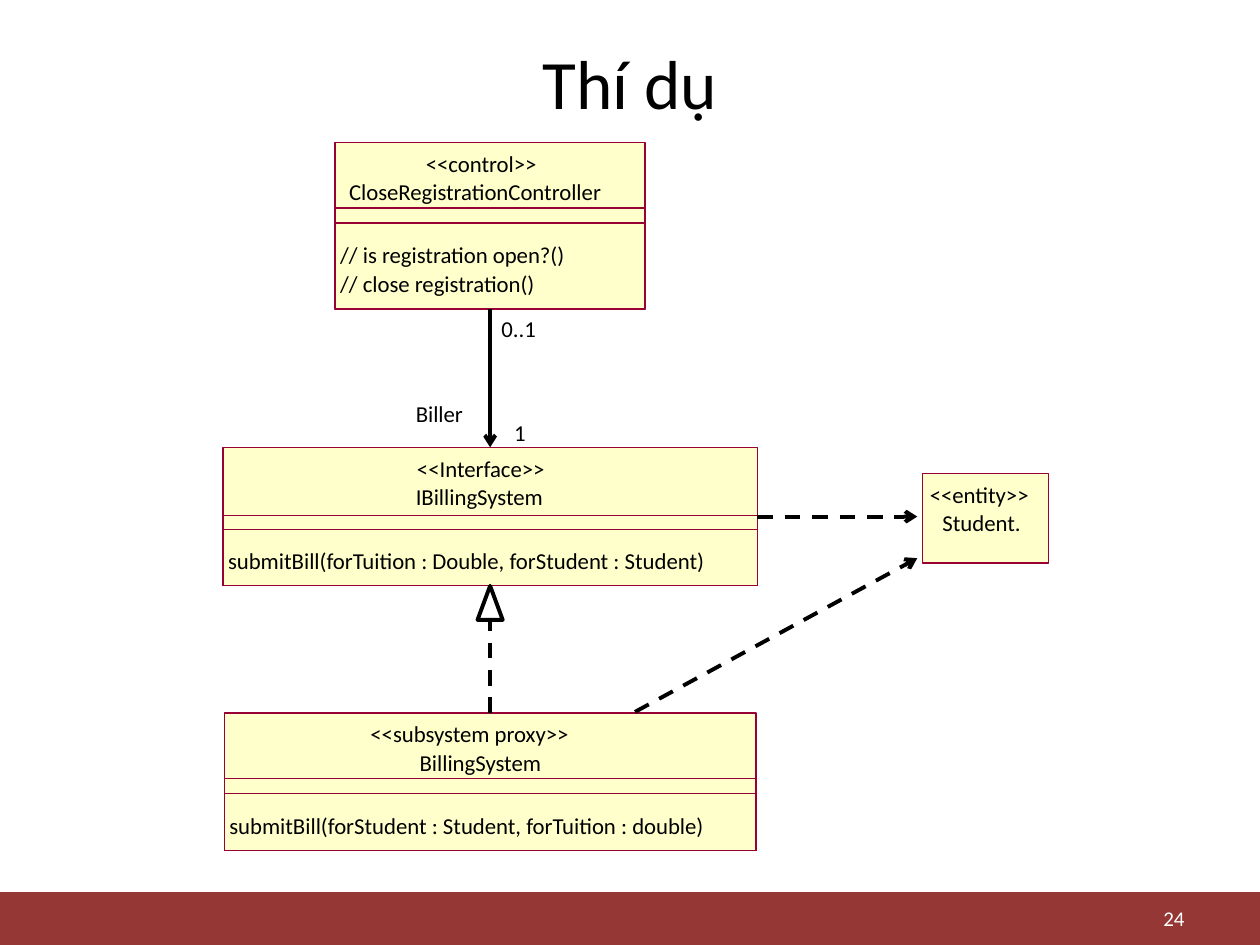
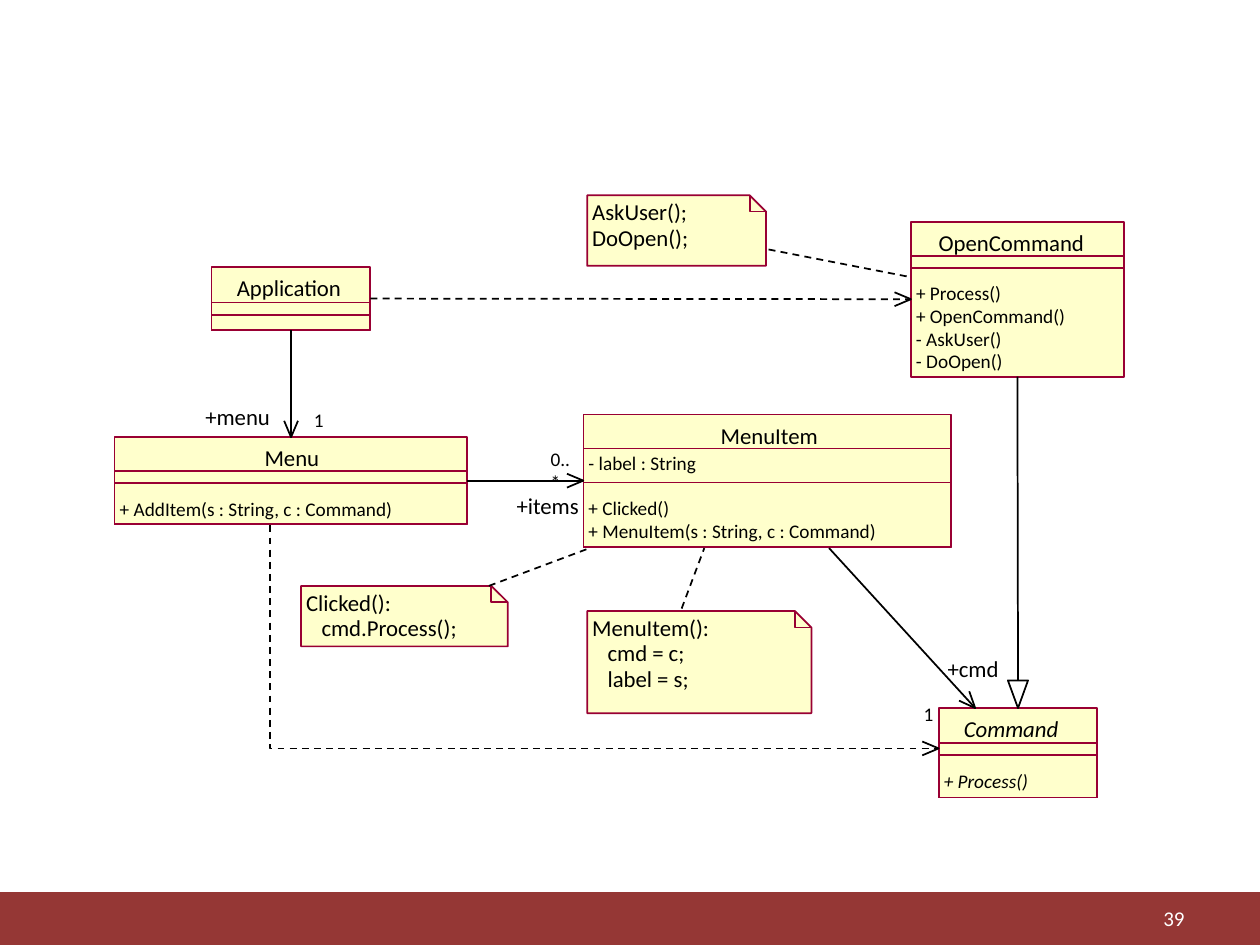
from dataclasses import dataclass
from math import atan2, cos, sin
from typing import NamedTuple, Union

from lxml.etree import SubElement
from pptx import Presentation
from pptx.dml.color import RGBColor as Rgb
from pptx.enum.dml import MSO_LINE as Dash
from pptx.enum.shapes import MSO_CONNECTOR as Conn, MSO_SHAPE as Kind
from pptx.enum.text import MSO_ANCHOR as Anchor, MSO_AUTO_SIZE as Fit, PP_ALIGN as Align
from pptx.oxml.ns import qn
from pptx.util import Emu, Inches, Pt

WIDE, HIGH = Inches(10), Inches(7.5)
COLS, ROWS = 100, 75
CELL = WIDE // COLS  # square cells: HIGH // ROWS is the same
FONT = "Calibri"
INK = {"text": "000000", "page": "FFFFFF", "band": "953735",
       "fill": "FFFFCC", "edge": "990033"}
TOP, LEFT, BASE, RIGHT = range(4)
FOLD = 1.3

Point = tuple[float, float]


class Side(NamedTuple):
    box: str
    site: int


class Label(NamedTuple):
    x: float
    y: float
    w: float
    text: str
    size: float = 13
    slant: bool = False


class Head(NamedTuple):
    x: float
    w: float
    text: str


class Row(NamedTuple):
    w: float
    text: str


@dataclass
class Box:
    """A class box: name lines, inner cuts and member rows."""
    key: str
    x: float
    y: float
    w: float
    h: float
    heads: list[Head]
    cuts: tuple[float, ...] = ()
    rows: tuple[Row, ...] = ()
    line: float = 1
    slant: bool = False


@dataclass
class Note:
    x: float
    y: float
    w: float
    h: float
    rows: list[Row]


@dataclass
class Link:
    start: Union[Side, Point]
    end: Union[Side, Point]
    tip: str = ""
    dash: bool = False


@dataclass
class Look:
    """Sizes that hold for a whole diagram."""
    size: float
    pad: float
    step: float
    line: float
    half: float
    long: float


def at(n: float) -> Emu:
    return Emu(round(n * CELL))


def rgb(name: str) -> Rgb:
    return Rgb.from_string(INK[name])


def paint(shape, fill: str = "", edge: str = "", line: float = 1) -> None:
    shape.shadow.inherit = False
    if fill:
        shape.fill.solid()
        shape.fill.fore_color.rgb = rgb(fill)
    else:
        shape.fill.background()
    if edge:
        shape.line.color.rgb = rgb(edge)
        shape.line.width = Pt(line)
    else:
        shape.line.fill.background()


def rect(slide, x, y, w, h, fill="", edge="", line=1.0):
    shape = slide.shapes.add_shape(Kind.RECTANGLE, at(x), at(y), at(w), at(h))
    paint(shape, fill, edge, line)
    return shape


def trace(slide, pts: list[Point], close=False, fill="", edge="text", line=1.0):
    """Draw an outline through grid points."""
    first, *rest = [(at(x), at(y)) for x, y in pts]
    pen = slide.shapes.build_freeform(*first)
    pen.add_line_segments(rest, close=close)
    shape = pen.convert_to_shape()
    paint(shape, fill, edge, line)
    return shape


def write(slide, x, y, w, h, text, size, ink="text", align=Align.LEFT, slant=False):
    frame = slide.shapes.add_textbox(at(x), at(y), at(w), at(h)).text_frame
    para = frame.paragraphs[0]
    para.alignment = align
    run = para.add_run()
    run.text = text
    font = run.font
    font.name, font.size, font.italic = FONT, Pt(size), slant
    font.color.rgb = rgb(ink)
    return frame


def put(slide, tag: Label) -> None:
    """Write one line with no margins that does not wrap."""
    high = 2.2 if tag.size > 11 else 1.8
    frame = write(slide, tag.x, tag.y, tag.w, high, tag.text, tag.size, slant=tag.slant)
    frame.margin_left = frame.margin_right = frame.margin_top = frame.margin_bottom = 0
    frame.word_wrap = False
    frame.auto_size = Fit.SHAPE_TO_FIT_TEXT


def draw_box(slide, box: Box, look: Look):
    body = rect(slide, box.x, box.y, box.w, box.h, "fill", "edge", box.line)
    for cut in box.cuts:
        rect(slide, box.x, box.y + cut, box.w, box.h - cut, "", "edge", box.line)
    for i, head in enumerate(box.heads):
        put(slide, Label(head.x, box.y + 0.55 + 2.25 * i, head.w, head.text, 13, box.slant))
    for i, row in enumerate(box.rows):
        y = box.y + box.cuts[-1] + look.pad + look.step * i
        put(slide, Label(box.x + 0.4, y, row.w, row.text, look.size, box.slant))
    return body


def draw_note(slide, note: Note) -> None:
    x, y, r, b = note.x, note.y, note.x + note.w, note.y + note.h
    ear = [(r - FOLD, y), (r, y + FOLD)]
    trace(slide, [(x, y), *ear, (r, b), (x, b)], True, "fill", "edge")
    trace(slide, [ear[0], (r - FOLD, y + FOLD), ear[1]], edge="edge")
    for i, row in enumerate(note.rows):
        put(slide, Label(x + 0.4, y + 0.22 + 2 * i, row.w, row.text))


def draw_tip(slide, kind: str, end: Point, turn: float, look: Look) -> None:
    """Draw an open barb or a hollow triangle, its point at end."""
    half, long = (look.half, look.long) if kind == "tri" else (0.55, 1.3)
    (x, y), c, s = end, cos(turn), sin(turn)
    wings = [(x - long * c - k * s, y - long * s + k * c) for k in (half, -half)]
    if kind == "tri":
        trace(slide, [end, *wings], True, "page", line=look.line)
    else:
        trace(slide, [wings[0], end, wings[1]], line=look.line)


def draw_link(slide, link: Link, look: Look, bodies: dict) -> None:
    ends = [(0, 0) if isinstance(p, Side) else p for p in (link.start, link.end)]
    line = slide.shapes.add_connector(Conn.STRAIGHT, *[at(n) for p in ends for n in p])
    for port, join in ((link.start, line.begin_connect), (link.end, line.end_connect)):
        if isinstance(port, Side):
            join(bodies[port.box], port.site)
    line.line.color.rgb = rgb("text")
    line.line.width = Pt(look.line)
    if link.dash:
        line.line.dash_style = Dash.DASH
    props = line._element.spPr
    if link.tip == "arrow":
        SubElement(props.find(qn("a:ln")), qn("a:tailEnd"), type="arrow")
    elif link.tip:
        turn = atan2(line.end_y - line.begin_y, line.end_x - line.begin_x)
        draw_tip(slide, link.tip, (line.end_x / CELL, line.end_y / CELL), turn, look)
    SubElement(props, qn("a:effectLst"))


def new_slide(deck, page: int, title: str = ""):
    slide = deck.slides.add_slide(deck.slide_layouts[6])
    rect(slide, 0, 70.8, COLS, ROWS - 70.8, "band")
    if title:
        frame = write(slide, 5, 3, 90, 7, title, 39.6, align=Align.CENTER)
        frame.vertical_anchor, frame.word_wrap = Anchor.MIDDLE, True
    frame = write(slide, 71.7, 71.5, 23.3, 2.7, str(page), 12, "page", Align.RIGHT)
    frame.vertical_anchor, frame.word_wrap = Anchor.MIDDLE, True
    return slide


def draw(slide, look: Look, boxes, notes, links, labels) -> None:
    bodies = {box.key: draw_box(slide, box, look) for box in boxes}
    for note in notes:
        draw_note(slide, note)
    for link in links:
        draw_link(slide, link, look, bodies)
    for tag in labels:
        put(slide, tag)


def billing(deck) -> None:
    boxes = [
        Box("proxy", 17.8, 56.6, 42.2, 10.9,
            [Head(29.4, 17.8, "<<subsystem proxy>>"), Head(33.3, 10.8, "BillingSystem")],
            (5.2, 6.4),
            (Row(40.5, "submitBill(forStudent : Student, forTuition : double)"),), 0),
        Box("face", 17.7, 35.5, 42.4, 11,
            [Head(33.1, 11.3, "<<Interface>>"), Head(33, 11.3, "IBillingSystem")],
            (5.4, 6.5),
            (Row(40.8, "submitBill(forTuition : Double, forStudent : Student)"),), 0),
        Box("control", 26.6, 11.3, 24.6, 13.2,
            [Head(33.8, 9.7, "<<control>>"), Head(27.7, 22.1, "CloseRegistrationController")],
            (5.2, 6.4),
            (Row(19, "// is registration open?()"), Row(16.4, "// close registration()"))),
        Box("entity", 73.2, 37.6, 10, 7.1,
            [Head(73.8, 8.6, "<<entity>>"), Head(74.8, 6.7, "Student.")], line=0),
    ]
    links = [
        Link((50.4, 56.5), (72.8, 44.3), "arrow", True),
        Link(Side("face", RIGHT), (72.8, 41), "arrow", True),
        Link(Side("control", BASE), Side("face", TOP), "arrow"),
        Link(Side("proxy", TOP), Side("face", BASE), "tri", True),
    ]
    labels = [Label(39.8, 25, 3, "0..1"), Label(33, 31.7, 4.4, "Biller"),
              Label(40.8, 33.2, 1, "1")]
    draw(new_slide(deck, 24, "Thí dụ"), Look(13, 1.4, 2.3, 2.25, 1, 2.7),
         boxes, [], links, labels)


def command(deck) -> None:
    cuts = (2.7, 3.65)
    boxes = [
        Box("app", 16.8, 21.2, 12.6, 5, [Head(18.8, 8.8, "Application")], (2.8, 3.8)),
        Box("menu", 9.1, 34.7, 28, 6.9, [Head(21, 4.5, "Menu")], cuts,
            (Row(23.9, "+ AddItem(s : String, c : Command)"),)),
        Box("item", 46.3, 32.9, 29.2, 10.5, [Head(57.2, 8.1, "MenuItem")], (2.7, 5.4),
            (Row(7.3, "+ Clicked()"), Row(25, "+ MenuItem(s : String, c : Command)"))),
        Box("cmd", 74.5, 56.2, 12.6, 7.1, [Head(76.5, 8.4, "Command")], (2.8, 3.75),
            (Row(7.8, "+ Process()"),), slant=True),
        Box("open", 72.3, 17.6, 16.9, 12.3, [Head(74.5, 12.8, "OpenCommand")], cuts,
            (Row(7.8, "+ Process()"), Row(13.1, "+ OpenCommand()"),
             Row(7.7, "- AskUser()"), Row(7.6, "- DoOpen()"))),
    ]
    notes = [
        Note(23.9, 46.5, 16.4, 4.8, [Row(8.1, "Clicked():"), Row(13.7, "   cmd.Process();")]),
        Note(46.6, 15.5, 14.2, 5.6, [Row(8.5, "AskUser();"), Row(8.5, "DoOpen();")]),
        Note(46.6, 48.5, 17.8, 8.1, [Row(9.8, "MenuItem():"), Row(8.4, "   cmd = c;"),
                                     Row(8.8, "   label = s;")]),
    ]
    links = [
        Link(Side("app", BASE), Side("menu", TOP), "barb"),
        Link(Side("menu", RIGHT), Side("item", LEFT), "barb"),
        Link(Side("app", RIGHT), Side("open", LEFT), "barb", True),
        Link(Side("open", BASE), Side("cmd", TOP), "tri"),
        Link((65.8, 43.5), (77.4, 56.2), "barb"),
        Link((38.8, 46.5), (46.8, 43.5), dash=True),
        Link((61, 19.8), (72.3, 22), dash=True),
        Link((54.1, 48.3), (55.9, 43.5), dash=True),
    ]
    labels = [
        Label(46.7, 35.8, 9.4, "- label : String", 11),
        Label(16.3, 32, 5.6, "+menu"), Label(24.9, 32.4, 0.9, "1", 11),
        Label(41, 39, 5.4, "+items"), Label(43.7, 35.5, 2.3, "0..*", 11),
        Label(75.2, 52, 4.5, "+cmd"), Label(73.3, 55.7, 0.9, "1", 11),
    ]
    slide = new_slide(deck, 39)
    look = Look(11, 1.1, 1.8, 1, 0.8, 2.2)
    draw(slide, look, boxes, notes, links, labels)
    end = (74.5, 59.4)
    bend = trace(slide, [(21.4, 41.7), (21.4, 59.4), end])
    bend.line.dash_style = Dash.DASH
    draw_tip(slide, "barb", end, 0, look)


def main() -> None:
    deck = Presentation()
    deck.slide_width, deck.slide_height = WIDE, HIGH
    billing(deck)
    command(deck)
    deck.save("out.pptx")


if __name__ == "__main__":
    main()
